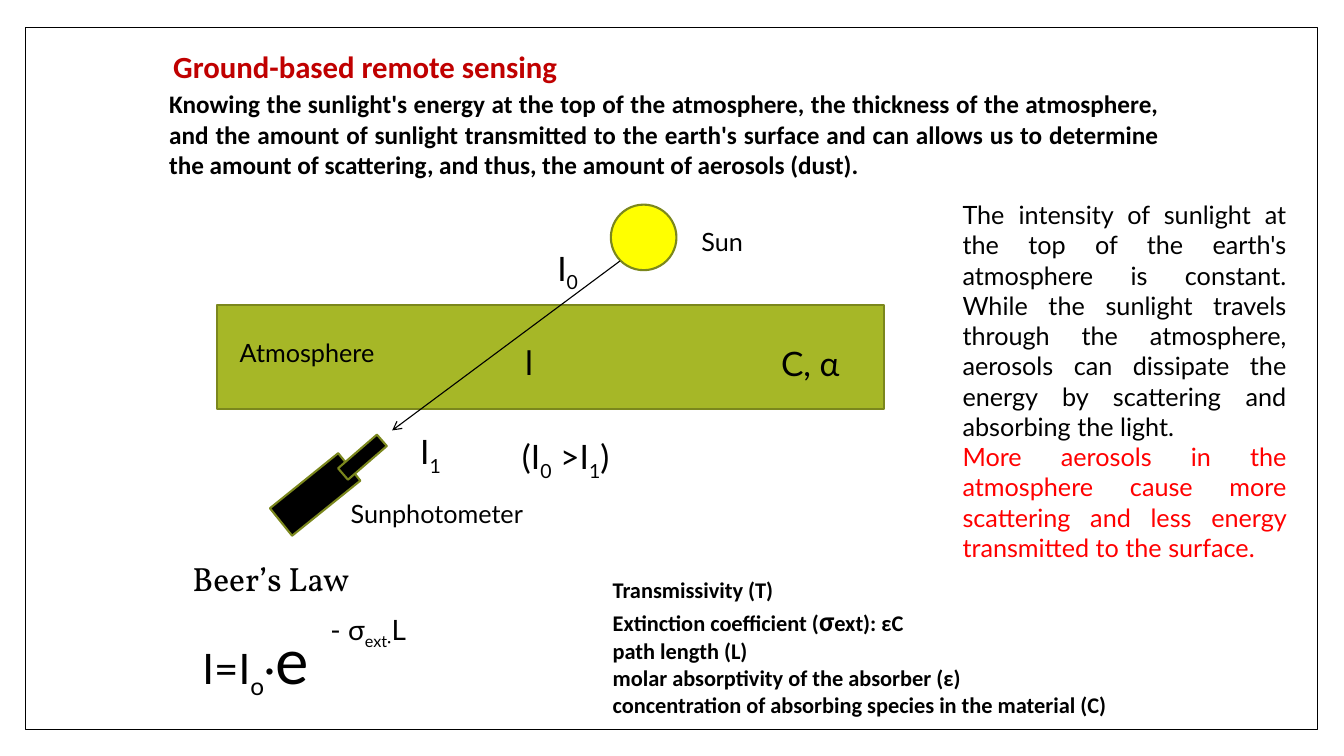
"""Build a slide on ground-based remote sensing with a sunphotometer."""
from dataclasses import dataclass

from lxml.etree import SubElement as Sub
from pptx import Presentation as Deck
from pptx.dml.color import RGBColor as Rgb
from pptx.enum.shapes import MSO_CONNECTOR as Link, MSO_SHAPE as Kind
from pptx.enum.text import MSO_AUTO_SIZE as Fit, PP_ALIGN as Align
from pptx.oxml.ns import qn
from pptx.slide import Slide
from pptx.util import Inches, Pt

WIDE, HIGH = Inches(13.333), Inches(7.5)
BLACK = Rgb(0x00, 0x00, 0x00)
WHITE = Rgb(0xFF, 0xFF, 0xFF)
RED = Rgb(0xFF, 0x00, 0x00)
WINE = Rgb(0xC0, 0x00, 0x00)
SUN = Rgb(0xFF, 0xFF, 0x00)
MOSS = Rgb(0xA6, 0xB7, 0x27)
OLIVE = Rgb(0x7B, 0x87, 0x1D)


def px(share: float) -> int:
    """Turn a percentage of the slide's width into a length."""
    return round(WIDE * share / 100)


def py(share: float) -> int:
    """Turn a percentage of the slide's height into a length."""
    return round(HIGH * share / 100)


@dataclass
class Area:
    """A rectangle in percentages of the slide's size."""
    left: float
    top: float
    width: float
    height: float

    def emu(self) -> tuple[int, int, int, int]:
        """Give left, top, width and height as lengths."""
        return px(self.left), py(self.top), px(self.width), py(self.height)


@dataclass
class Form:
    """A filled and outlined shape."""
    area: Area
    fill: Rgb
    line: Rgb = OLIVE
    weight: float = 1.5
    kind: Kind = Kind.RECTANGLE
    turn: float = 0


@dataclass
class Bit:
    """A stretch of text with its own size, level or colour."""
    text: str
    size: float = 0
    sub: bool = False
    tint: Rgb | None = None


@dataclass
class Note:
    """A text box made of paragraphs of bits."""
    area: Area
    size: float
    lines: list[list[Bit]]
    font: str = "Lato"
    tint: Rgb = BLACK
    bold: bool = False
    align: Align = Align.LEFT


def plain(*lines: str) -> list[list[Bit]]:
    """Make paragraphs of a single bit each."""
    return [[Bit(line)] for line in lines]


def mixed(*texts: str) -> list[list[Bit]]:
    """Make one paragraph whose every second bit is a subscript."""
    return [[Bit(text, sub=spot % 2 == 1) for spot, text in enumerate(texts)]]


FORMS = [
    Form(Area(1.88, 3.6, 96.15, 92.93), WHITE, BLACK, 1),
    Form(Area(16.13, 40.4, 49.65, 13.73), MOSS),
    Form(Area(45.45, 27.07, 4.88, 8.67), SUN, kind=Kind.OVAL),
    Form(Area(20.18, 63.07, 6.53, 4.67), BLACK, turn=141.1),
    Form(Area(25.05, 59.47, 3.83, 2), BLACK, turn=139.1),
]

NOTES = [
    Note(Area(12.15, 5.6, 50.03, 6.27), 22, plain("Ground-based remote sensing"),
         "Calibri", WINE, True),
    Note(Area(11.85, 11.07, 75.15, 17.47), 18, plain(
        "Knowing the sunlight's energy at the top of the atmosphere, the thickness "
        "of the atmosphere, and the amount of sunlight transmitted to the earth's "
        "surface and can allows us to determine the amount of scattering, and thus, "
        "the amount of aerosols (dust)."), "Calibri", bold=True, align=Align.JUSTIFY),
    Note(Area(13.58, 73.2, 36.9, 12.13), 24, plain("Beer’s Law"), "Vollkorn"),
    Note(Area(44.85, 75.6, 45.75, 20.13), 16, [
        [Bit("Transmissivity (T)")],
        [Bit("Extinction coefficient ("), Bit("σ", 20), Bit("ext): εC")],
        *plain("path length (L)", "molar absorptivity of the absorber (ε)",
               "concentration of absorbing species in the material (C)"),
    ], "Calibri", bold=True),
    Note(Area(40.73, 32.13, 3.68, 6.8), 24, mixed("I", "0")),
    Note(Area(30.53, 56.4, 3.68, 6.67), 24, mixed("I", "1")),
    Note(Area(38.33, 44.53, 3.68, 6.67), 24, plain("l")),
    Note(Area(57.38, 44.67, 27.38, 6.8), 24, plain("C, α")),
    Note(Area(38.1, 57.07, 13.28, 10.27), 24, mixed("(I", "0", " >I", "1", ")")),
    Note(Area(17.1, 44, 17.85, 5.33), 18, plain("Atmosphere")),
    Note(Area(51.45, 29.33, 17.85, 5.33), 18, plain("Sun")),
    Note(Area(25.35, 65.2, 17.85, 5.33), 18, plain("Sunphotometer")),
    Note(Area(23.85, 80.4, 9.9, 5.87), 20, mixed("- σ", "ext·", "L")),
    Note(Area(14.33, 81.6, 14.48, 11.47), 30, [
        [Bit("I=I"), Bit("o", sub=True), Bit("·"), Bit("e", 45)]]),
    Note(Area(70.88, 25.73, 25.58, 49.87), 18, [
        [Bit("The intensity of sunlight at the top of the earth's atmosphere is "
             "constant. While the sunlight travels through the atmosphere, aerosols "
             "can dissipate the energy by scattering and absorbing the light.")],
        [Bit("More aerosols in the atmosphere cause more scattering and less energy "
             "transmitted to the surface.", tint=RED)],
    ], align=Align.JUSTIFY),
]


def draw(slide: Slide, form: Form) -> None:
    """Add a shape to the slide."""
    shape = slide.shapes.add_shape(form.kind, *form.area.emu())
    shape.shadow.inherit = False
    shape.rotation = form.turn
    shape.fill.solid()
    shape.fill.fore_color.rgb = form.fill
    shape.line.color.rgb = form.line
    shape.line.width = Pt(form.weight)


def ray(slide: Slide) -> None:
    """Add the sunbeam that reaches the sunphotometer."""
    beam = slide.shapes.add_connector(
        Link.STRAIGHT, px(46.13), py(34.53), px(29.18), py(56.93))
    beam.line.color.rgb = BLACK
    beam.line.width = Pt(0.79)
    Sub(beam.line._get_or_add_ln(), qn("a:tailEnd"), type="arrow")
    Sub(beam._element.spPr, qn("a:effectLst"))


def write(slide: Slide, note: Note) -> None:
    """Add a text box to the slide."""
    frame = slide.shapes.add_textbox(*note.area.emu()).text_frame
    frame.word_wrap = True
    frame.auto_size = Fit.SHAPE_TO_FIT_TEXT
    frame.text = "\n".join(line[0].text for line in note.lines)
    for para, line in zip(frame.paragraphs, note.lines):
        para.alignment = note.align
        for bit in line[1:]:
            para.add_run().text = bit.text
        for run, bit in zip(para.runs, line):
            run.font.name = note.font
            run.font.size = Pt(bit.size or note.size)
            run.font.bold = note.bold
            run.font.color.rgb = bit.tint or note.tint
            if bit.sub:
                run._r.get_or_add_rPr().set("baseline", "-25000")


def main() -> None:
    """Build and save the deck."""
    deck = Deck()
    deck.slide_width, deck.slide_height = WIDE, HIGH
    slide = deck.slides.add_slide(deck.slide_layouts[6])
    for form in FORMS:
        draw(slide, form)
    ray(slide)
    for note in NOTES:
        write(slide, note)
    deck.save("out.pptx")


if __name__ == "__main__":
    main()
